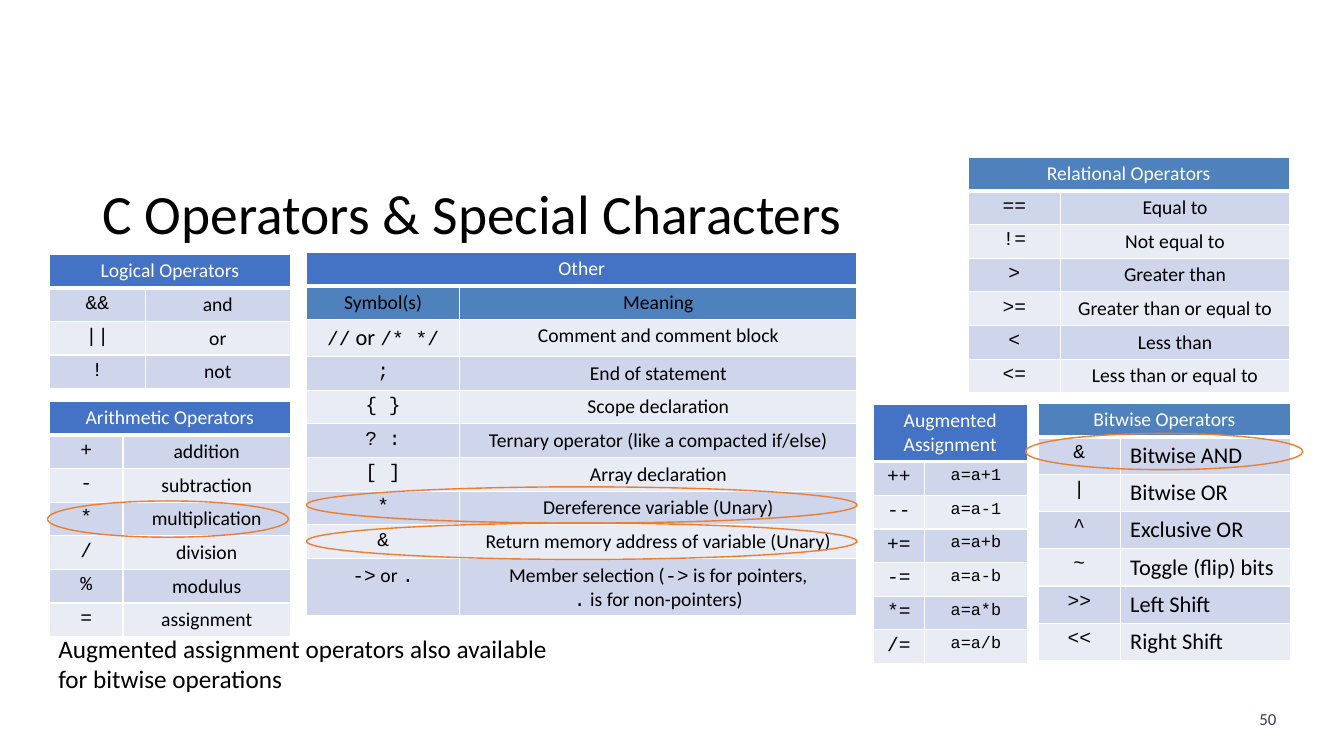
from dataclasses import dataclass

from lxml import etree
from pptx import Presentation
from pptx import util as u
from pptx.dml.color import RGBColor
from pptx.enum import shapes, text
from pptx.oxml.ns import qn


@dataclass(frozen=True)
class Theme:
    body: str = "Calibri"
    code: str = "Courier New"
    black: str = "000000"
    white: str = "FFFFFF"
    slate: str = "333F50"
    royal: str = "4472C4"
    steel: str = "4F81BD"
    orange: str = "ED7D31"
    bands: tuple = ("CFD5EA", "E9EBF5")
    title_size: float = 39.6
    note_size: float = 18
    large_size: float = 16
    cell_size: float = 14
    small_size: float = 12


T = Theme()
CENTER, LEFT = text.PP_ALIGN.CENTER, text.PP_ALIGN.LEFT


def write(tf, content, align=CENTER, spacing=None, **fmt):
    """Fill a frame; content is a string or a list of (string, format) runs."""
    p = tf.paragraphs[0]
    p.alignment = align
    if spacing:
        p.line_spacing = spacing
    runs = [(content, {})] if isinstance(content, str) else content
    for words, own in runs:
        style = {"font": T.body, "size": T.cell_size, "color": T.black, **fmt, **own}
        for i, line in enumerate(words.split("\n")):
            if i:
                p.add_line_break()
            r = p.add_run()
            r.text = line
            r.font.name = style["font"]
            r.font.size = u.Pt(style["size"])
            r.font.bold = False
            r.font.color.rgb = RGBColor.from_string(style["color"])


class OperatorSlide:
    """One slide on a grid of square cells, 75 rows high."""

    def __init__(self, prs):
        self.unit = prs.slide_height / 75
        self.s = prs.slides.add_slide(prs.slide_layouts[6])

    def span(self, *cells):
        return [u.Emu(round(n * self.unit)) for n in cells]

    def label(self, at, content, wrap=True, grow=False, anchor=text.MSO_ANCHOR.TOP, **fmt):
        tf = self.s.shapes.add_textbox(*self.span(*at)).text_frame
        tf.word_wrap = wrap
        tf.vertical_anchor = anchor
        if grow:
            tf.auto_size = text.MSO_AUTO_SIZE.SHAPE_TO_FIT_TEXT
        write(tf, content, **fmt)

    def ring(self, *at):
        sp = self.s.shapes.add_shape(shapes.MSO_SHAPE.OVAL, *self.span(*at))
        sp.shadow.inherit = False
        sp.fill.background()
        sp.line.color.rgb = RGBColor.from_string(T.orange)
        sp.line.width = u.Pt(1)

    def paint(self, cell, color, bottom=1):
        tc_pr = cell._tc.get_or_add_tcPr()
        for side, width in (("L", 1), ("R", 1), ("T", 1), ("B", bottom)):
            ln = etree.SubElement(tc_pr, qn(f"a:ln{side}"), w=str(u.Pt(width)))
            fill = etree.SubElement(ln, qn("a:solidFill"))
            etree.SubElement(fill, qn("a:srgbClr"), val=T.white)
        cell.fill.solid()
        cell.fill.fore_color.rgb = RGBColor.from_string(color)

    def table(self, at, cols, heading, rows, header=T.royal, head_height=3.33,
              height=3.33, tall=None, subhead=None, **meaning):
        tall = tall or {}
        body = ([subhead] if subhead else []) + rows
        heights = [head_height] + [tall.get(i, height) for i in range(len(body))]
        frame = self.s.shapes.add_table(
            len(heights), 2, *self.span(*at, sum(cols), sum(heights)))
        tbl = frame.table
        tbl.first_row = tbl.horz_banding = False
        for col, width in zip(tbl.columns, self.span(*cols)):
            col.width = width
        for row, row_height in zip(tbl.rows, self.span(*heights)):
            row.height = row_height

        # Merged heading
        for c in range(2):
            self.paint(tbl.cell(0, c), header, bottom=3)
        tbl.cell(0, 0).merge(tbl.cell(0, 1))
        write(tbl.cell(0, 0).text_frame, heading, color=T.white)

        # Banded pairs of symbol and meaning
        for i, pair in enumerate(body):
            is_subhead = subhead and i == 0
            styles = ({}, {}) if is_subhead else ({"font": T.code}, meaning)
            for c, (content, style) in enumerate(zip(pair, styles)):
                cell = tbl.cell(i + 1, c)
                self.paint(cell, T.steel if is_subhead else T.bands[i % 2])
                write(cell.text_frame, content, **style)


def main():
    prs = Presentation()
    prs.slide_width, prs.slide_height = u.Inches(13.33), u.Inches(7.5)
    s = OperatorSlide(prs)
    plain, code = {"font": T.body}, {"font": T.code}

    # Page number and title
    s.label((123.4, 69.8, 4.7, 3), "50", size=T.small_size, color=T.slate)
    s.label((9.2, 18, 115, 7), "C Operators & Special Characters", align=LEFT,
            anchor=text.MSO_ANCHOR.MIDDLE, spacing=0.9, size=T.title_size)

    # Operator tables
    s.table((96, 15.6), (9.2, 22.7), "Relational Operators", [
        ("==", "Equal to"), ("!=", "Not equal to"), (">", "Greater than"),
        (">=", "Greater than or equal to"), ("<", "Less than"),
        ("<=", "Less than or equal to")], header=T.steel)
    s.table((4.9, 39.8), (7.3, 16.6), "Arithmetic Operators", [
        ("+", "addition"), ("-", "subtraction"), ("*", "multiplication"),
        ("/", "division"), ("%", "modulus"), ("=", "assignment")])
    s.table((86.6, 40.1), (5.1, 10.2), "Augmented Assignment", [
        ("++", "a=a+1"), ("--", "a=a-1"), ("+=", "a=a+b"),
        ("-=", "a=a-b"), ("*=", "a=a*b"), ("/=", "a=a/b")],
        head_height=5.7, height=3.2, font=T.code, size=T.small_size)
    s.table((30.4, 25), (15.2, 39.4), "Other", [
        ([("//", code), (" or ", {"font": T.body, "size": T.large_size}), ("/* */", code)],
         "Comment and comment block"),
        (";", "End of statement"),
        ("{ }", "Scope declaration"),
        ("? :", "Ternary operator (like a compacted if/else)"),
        ("[ ]", "Array declaration"),
        ("*", "Dereference variable (Unary)"),
        ("&", "Return memory address of variable (Unary)"),
        ([("->", code), (" or ", plain), (".", code)],
         [("Member selection (", plain), ("->", code), (" is for pointers,\n", plain),
          (".", code), (" is for non-pointers)", plain)])],
        tall={1: 3.7, 8: 5.7}, subhead=("Symbol(s)", "Meaning"))
    s.table((4.9, 25.2), (9.5, 14.4), "Logical Operators", [
        ("&&", "and"), ("||", "or"), ("!", "not")])
    s.table((103, 40), (8.1, 16.9), "Bitwise Operators", [
        ("&", "Bitwise AND"), ("|", "Bitwise OR"), ("^", "Exclusive OR"),
        ("~", "Toggle (flip) bits"), (">>", "Left Shift"), ("<<", "Right Shift")],
        header=T.steel, height=3.7, align=LEFT, size=T.large_size)

    # Note below the tables
    s.label((4.8, 62.3, 51, 7.1),
            "Augmented assignment operators also available\nfor bitwise operations",
            wrap=False, grow=True, align=LEFT, size=T.note_size)

    # Rings around the symbols with two meanings
    for left, top, width in ((4.7, 49.7, 23.9), (30.4, 48.3, 54.6),
                             (30.4, 51.9, 54.6), (101.7, 43, 27.5)):
        s.ring(left, top, width, 3.6)

    prs.save("out.pptx")


if __name__ == "__main__":
    main()
